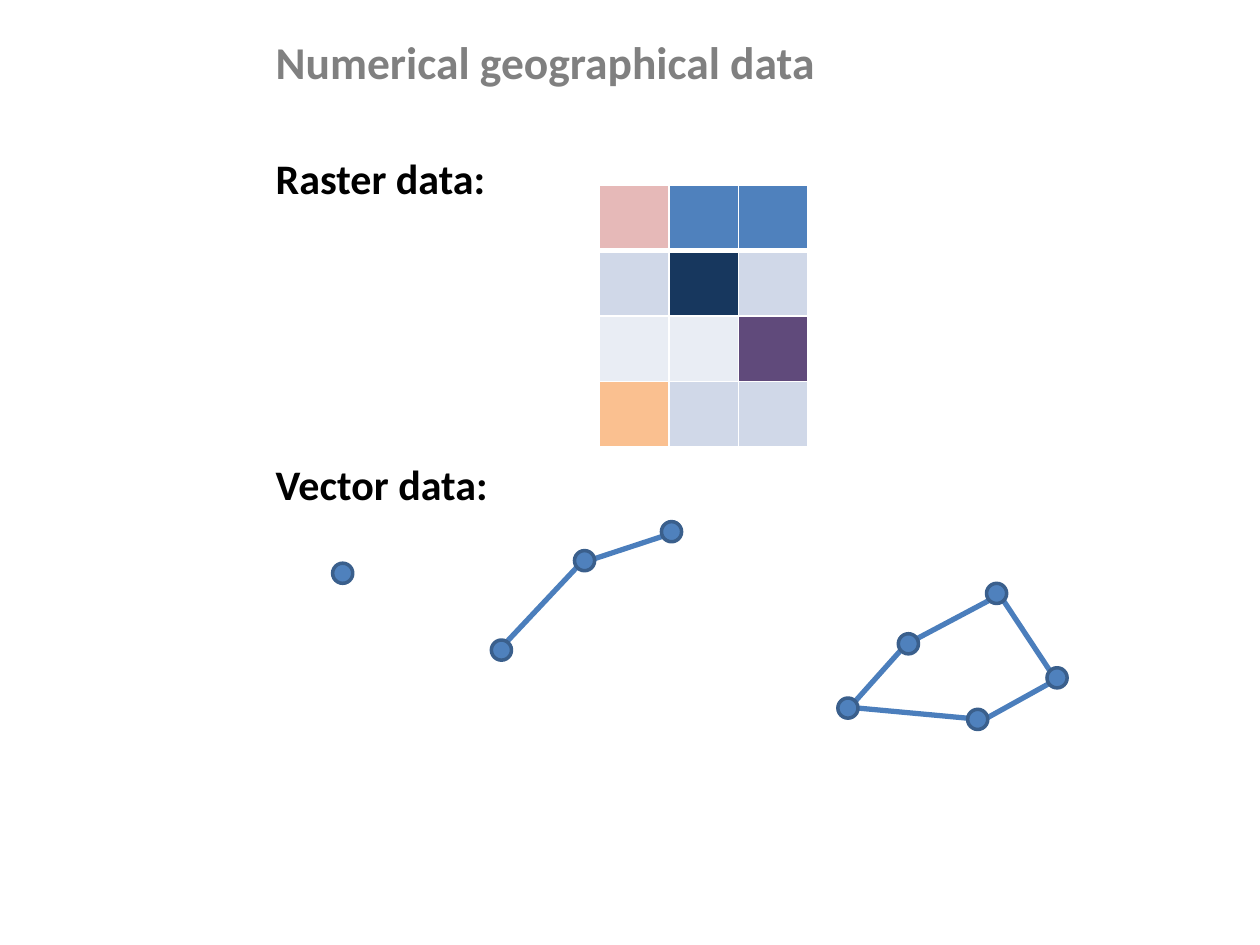
from typing import NamedTuple

import pptx
import pptx.dml.color
import pptx.enum.shapes
import pptx.enum.text
import pptx.util
from pptx.oxml import parse_xml
from pptx.oxml.ns import nsdecls

Inches = pptx.util.Inches
Pt = pptx.util.Pt

COLORS = {
    "title": "808080",
    "text": "000000",
    "edge": "4B7EBC",
    "node": "4F81BD",
    "node_line": "3A5F8C",
    "border": "FFFFFF",
    "rose": "E6B9B8",
    "blue": "4F81BD",
    "navy": "17375E",
    "purple": "604A7B",
    "orange": "FAC090",
    "band": "D0D8E8",
    "pale": "E9EDF4",
}
FONT = "Calibri"
NODE_SIZE = 0.16
CELL_WIDTH = 0.55
CELL_HEIGHT = 0.52


class Box(NamedTuple):
    left: float
    top: float
    width: float
    height: float


class Node(NamedTuple):
    left: float
    top: float


class Edge(NamedTuple):
    x1: float
    y1: float
    x2: float
    y2: float


RASTER = [
    ["rose", "blue", "blue"],
    ["band", "navy", "band"],
    ["pale", "pale", "purple"],
    ["orange", "band", "band"],
]
POINT = [Node(2.64, 4.47)]
POLYLINE = [Node(5.25, 4.14), Node(4.56, 4.37), Node(3.9, 5.08)]
POLYGON = [
    Node(7.83, 4.63),
    Node(7.13, 5.03),
    Node(6.65, 5.54),
    Node(7.68, 5.63),
    Node(8.31, 5.3),
]
EDGES = [
    Edge(7.83, 5.7, 8.39, 5.39),
    Edge(6.81, 5.62, 7.68, 5.7),
    Edge(8.33, 5.32, 7.94, 4.73),
    Edge(7.2, 5.11, 7.86, 4.76),
    Edge(6.73, 5.63, 7.15, 5.16),
    Edge(4.61, 4.47, 5.31, 4.24),
    Edge(3.96, 5.16, 4.59, 4.49),
]


def rgb(name: str) -> pptx.dml.color.RGBColor:
    return pptx.dml.color.RGBColor.from_string(COLORS[name])


def add_text(s, box: Box, lines: list[str], size: int, color: str, gap: float = 0):
    sp = s.shapes.add_textbox(*map(Inches, box))
    tf = sp.text_frame
    tf.word_wrap = True
    tf.text = "\n".join(lines)
    for p in tf.paragraphs:
        for r in p.runs:
            r.font.name = FONT
            r.font.size = Pt(size)
            r.font.bold = True
            r.font.color.rgb = rgb(color)
    tf.paragraphs[-1].space_before = Pt(gap)
    return sp


def add_edge(s, edge: Edge) -> None:
    line = s.shapes.add_connector(
        pptx.enum.shapes.MSO_CONNECTOR.STRAIGHT, *map(Inches, edge)
    )
    line.line.color.rgb = rgb("edge")
    line.line.width = Pt(3)
    line._element.spPr.append(parse_xml(f"<a:effectLst {nsdecls('a')}/>"))


def add_node(s, node: Node) -> None:
    sp = s.shapes.add_shape(
        pptx.enum.shapes.MSO_SHAPE.OVAL,
        *map(Inches, (node.left, node.top, NODE_SIZE, NODE_SIZE)),
    )
    sp.shadow.inherit = False
    sp.fill.solid()
    sp.fill.fore_color.rgb = rgb("node")
    sp.line.color.rgb = rgb("node_line")
    sp.line.width = Pt(2)


def set_border(cell, side: str, width: float) -> None:
    cell._tc.get_or_add_tcPr().append(parse_xml(
        f'<a:ln{side} {nsdecls("a")} w="{Pt(width)}"><a:solidFill>'
        f'<a:srgbClr val="{COLORS["border"]}"/></a:solidFill></a:ln{side}>'
    ))


def add_raster(s, left: float, top: float, rows: list[list[str]]) -> None:
    n_rows, n_cols = len(rows), len(rows[0])
    table = s.shapes.add_table(
        n_rows, n_cols, Inches(left), Inches(top),
        Inches(n_cols * CELL_WIDTH), Inches(n_rows * CELL_HEIGHT),
    ).table
    for i, row in enumerate(rows):
        for j, color in enumerate(row):
            cell = table.cell(i, j)
            for side in "LRTB":
                heavy = (i, side) in ((0, "B"), (1, "T"))
                set_border(cell, side, 3 if heavy else 1)
            cell.fill.solid()
            cell.fill.fore_color.rgb = rgb(color)


def main() -> None:
    prs = pptx.Presentation()
    prs.slide_width = Inches(10)
    prs.slide_height = Inches(7.5)
    s = prs.slides.add_slide(prs.slide_layouts[6])

    for edge in EDGES:
        add_edge(s, edge)
    title = add_text(s, Box(2.09, 0.21, 6.14, 0.55),
                     ["Numerical geographical data"], 26, "title", 5.2)
    title.text_frame.vertical_anchor = pptx.enum.text.MSO_ANCHOR.MIDDLE
    add_text(s, Box(2.09, 1.16, 7.56, 4.95),
             ["Raster data:", "Vector data:"], 24, "text", 146)
    add_raster(s, 4.76, 1.47, RASTER)
    for node in POINT + POLYLINE + POLYGON:
        add_node(s, node)

    prs.save("out.pptx")


if __name__ == "__main__":
    main()
